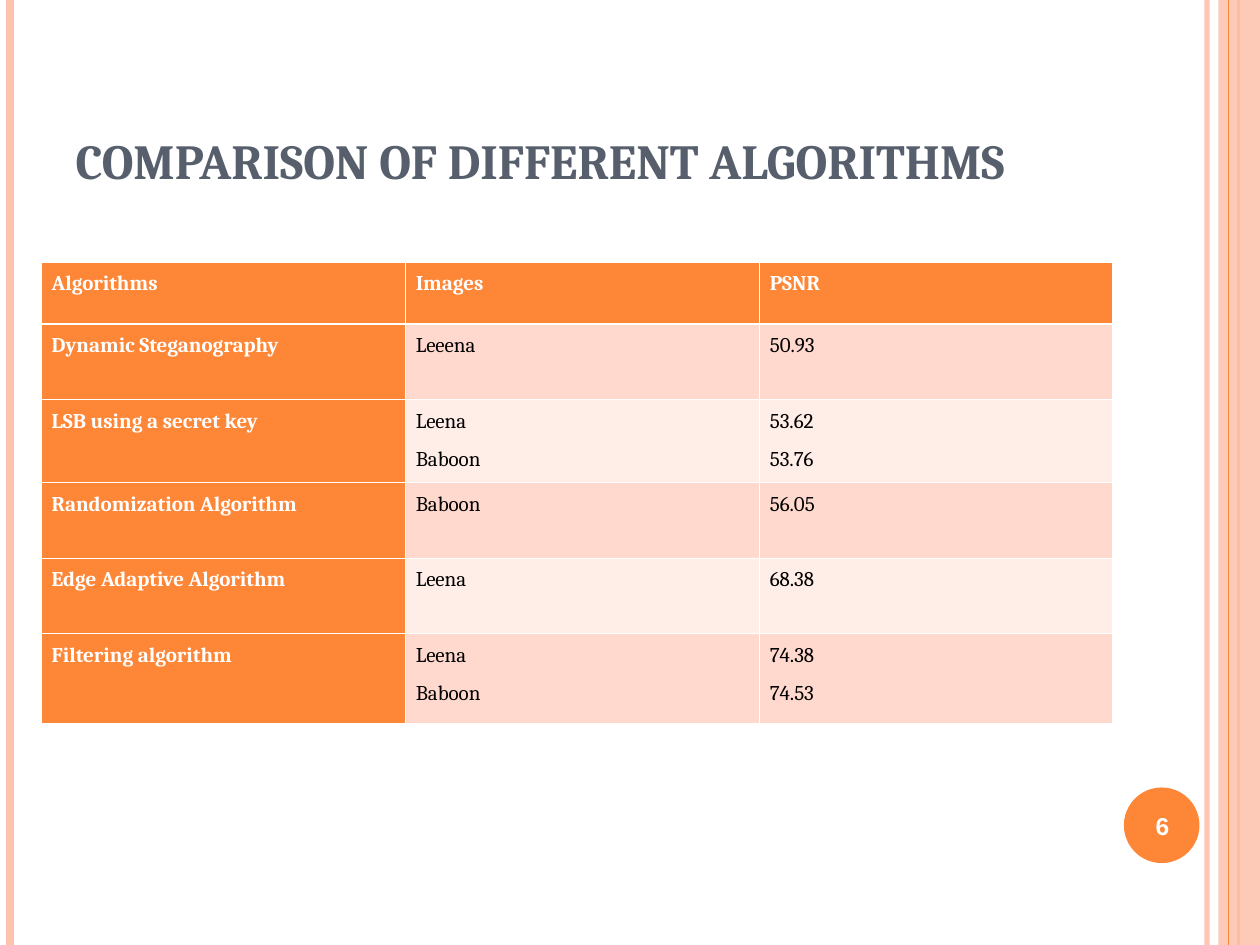
from dataclasses import dataclass

from lxml import etree
from pptx import Presentation
from pptx import util as u
from pptx.dml.color import RGBColor
from pptx.enum import shapes, text
from pptx.oxml import ns


@dataclass(frozen=True)
class Theme:
    """Colours, fonts and type sizes of the deck."""
    orange: str = "FE8637"
    peach: str = "FEC3AE"
    slate: str = "575F6D"
    white: str = "FFFFFF"
    black: str = "000000"
    bands: tuple = ("FFD9CE", "FFEDE8")
    serif: str = "Cambria"
    sans: str = "Arial"
    title_size: float = 28
    table_size: float = 12
    number_size: float = 14


THEME = Theme()
HEADINGS = ("Algorithms", "Images", "PSNR")
RESULTS = (
    ("Dynamic Steganography", "Leeena", "50.93"),
    ("LSB using a secret key", "Leena\nBaboon", "53.62\n53.76"),
    ("Randomization Algorithm", "Baboon", "56.05"),
    ("Edge Adaptive Algorithm", "Leena", "68.38"),
    ("Filtering algorithm", "Leena\nBaboon", "74.38\n74.53"),
)
COLUMN_WIDTHS = (2.89, 2.81, 2.8)
ROW_HEIGHTS = (0.49, 0.6, 0.66, 0.6, 0.6, 0.71)


def apply_format(target, values):
    """Set each named attribute of the target."""
    for name, value in values.items():
        setattr(target, name, value)


def set_font(para, face, size, colour, bold):
    """Format the text of one paragraph."""
    for span in para.runs:
        apply_format(span.font, {"name": face, "size": u.Pt(size), "bold": bold})
        span.font.color.rgb = RGBColor.from_string(colour)


def set_alpha(fill, percent):
    """Make a solid colour partly transparent."""
    colour = fill._xPr.find(ns.qn("a:solidFill"))[0]
    etree.SubElement(colour, ns.qn("a:alpha"), val=str(percent * 1000))


def add_rule(page, left, height, colour, weight, alpha=100):
    """Draw a vertical rule from the top of the page."""
    rule = page.shapes.add_connector(
        shapes.MSO_CONNECTOR.STRAIGHT,
        u.Inches(left), 0, u.Inches(left), u.Inches(height))
    rule.line.width = u.Pt(weight)
    rule.line.color.rgb = RGBColor.from_string(colour)
    if alpha < 100:
        set_alpha(rule.line.fill, alpha)
    etree.SubElement(rule._element.spPr, ns.qn("a:effectLst"))


def add_filled(page, kind, box, colour):
    """Add a plain shape without outline."""
    shape = page.shapes.add_shape(kind, *map(u.Inches, box))
    shape.shadow.inherit = False
    shape.fill.solid()
    shape.fill.fore_color.rgb = RGBColor.from_string(colour)
    shape.line.fill.background()
    return shape


def add_borders(page, box):
    """Place the decorative stripes at both sides of the box."""
    left, top, width, height = box
    right = left + width
    add_rule(page, right - 0.42, height, THEME.peach, 3, 93)
    add_rule(page, left + 0.08, height, THEME.peach, 4.5)
    add_rule(page, right - 0.17, height, THEME.orange, 1.5)
    band = add_filled(page, shapes.MSO_SHAPE.RECTANGLE,
                      (right - 0.33, top, 0.33, height), THEME.peach)
    set_alpha(band.fill, 87)
    add_rule(page, right - 0.25, height, THEME.orange, 0.75)


def add_page_number(page, box, number):
    """Place the page number over its round badge."""
    left, top, width, height = box
    add_filled(page, shapes.MSO_SHAPE.OVAL, box, THEME.orange)
    label = page.shapes.add_textbox(
        *map(u.Inches, (left - 0.03, top + 0.02, width + 0.07, height - 0.03)))
    apply_format(label.text_frame, {
        "text": number, "word_wrap": True,
        "vertical_anchor": text.MSO_ANCHOR.MIDDLE})
    para = label.text_frame.paragraphs[0]
    para.alignment = text.PP_ALIGN.CENTER
    set_font(para, THEME.sans, THEME.number_size, THEME.white, True)


def add_title(page, box, wording):
    """Move and format the title placeholder."""
    title = page.shapes.title
    apply_format(title, dict(zip(("left", "top", "width", "height"), map(u.Inches, box))))
    apply_format(title.text_frame, {
        "text": wording, "word_wrap": True,
        "auto_size": text.MSO_AUTO_SIZE.NONE,
        "vertical_anchor": text.MSO_ANCHOR.BOTTOM})
    para = title.text_frame.paragraphs[0]
    para.alignment = text.PP_ALIGN.LEFT
    set_font(para, THEME.serif, THEME.title_size, THEME.slate, True)


def set_cell_borders(cell, weights):
    """Draw white borders with the given weight for each side."""
    properties = cell._tc.get_or_add_tcPr()
    for index, (side, weight) in enumerate(weights.items()):
        line = etree.Element(ns.qn(f"a:ln{side}"), w=str(u.Pt(weight)))
        fill = etree.SubElement(line, ns.qn("a:solidFill"))
        etree.SubElement(fill, ns.qn("a:srgbClr"), val=THEME.white)
        properties.insert(index, line)


def fill_cell(cell, wording, row, column):
    """Write and format one cell according to its place in the table."""
    heading = row == 0 or column == 0
    apply_format(cell, {
        "text": wording, "vertical_anchor": text.MSO_ANCHOR.TOP,
        "margin_left": u.Inches(0.08), "margin_right": u.Inches(0.08),
        "margin_top": u.Inches(0.05), "margin_bottom": u.Inches(0.05)})
    colour = THEME.orange if heading else THEME.bands[(row - 1) % 2]
    cell.fill.solid()
    cell.fill.fore_color.rgb = RGBColor.from_string(colour)
    for para in cell.text_frame.paragraphs:
        apply_format(para, {
            "alignment": text.PP_ALIGN.JUSTIFY,
            "line_spacing": 1.15, "space_after": u.Pt(6)})
        set_font(para, THEME.serif, THEME.table_size,
                 THEME.white if heading else THEME.black, heading)
    set_cell_borders(cell, {
        "L": 0.45, "R": 0.45,
        "T": 1.47 if row == 1 else 0.45,
        "B": 1.47 if row == 0 else 0.45})


def add_results(page, box):
    """Place the comparison table in the box."""
    rows = (HEADINGS, *RESULTS)
    table = page.shapes.add_table(
        len(rows), len(HEADINGS), *map(u.Inches, box)).table
    table.first_col = True
    for column, width in zip(table.columns, COLUMN_WIDTHS):
        column.width = u.Inches(width)
    for row, height in zip(table.rows, ROW_HEIGHTS):
        row.height = u.Inches(height)
    for row, entries in enumerate(rows):
        for column, wording in enumerate(entries):
            fill_cell(table.cell(row, column), wording, row, column)


def main():
    """Build and save the deck."""
    deck = Presentation()
    apply_format(deck, {"slide_width": u.Inches(10), "slide_height": u.Inches(7.5)})
    page = deck.slides.add_slide(deck.slide_layouts[5])
    add_borders(page, (0, 0, 10, 7.5))
    add_page_number(page, (8.92, 6.25, 0.6, 0.6), "6")
    add_title(page, (0.5, 0.3, 8.17, 1.25), "COMPARISON OF DIFFERENT ALGORITHMS")
    add_results(page, (0.33, 2.08, 8.5, 3.67))
    deck.save("out.pptx")


if __name__ == "__main__":
    main()
